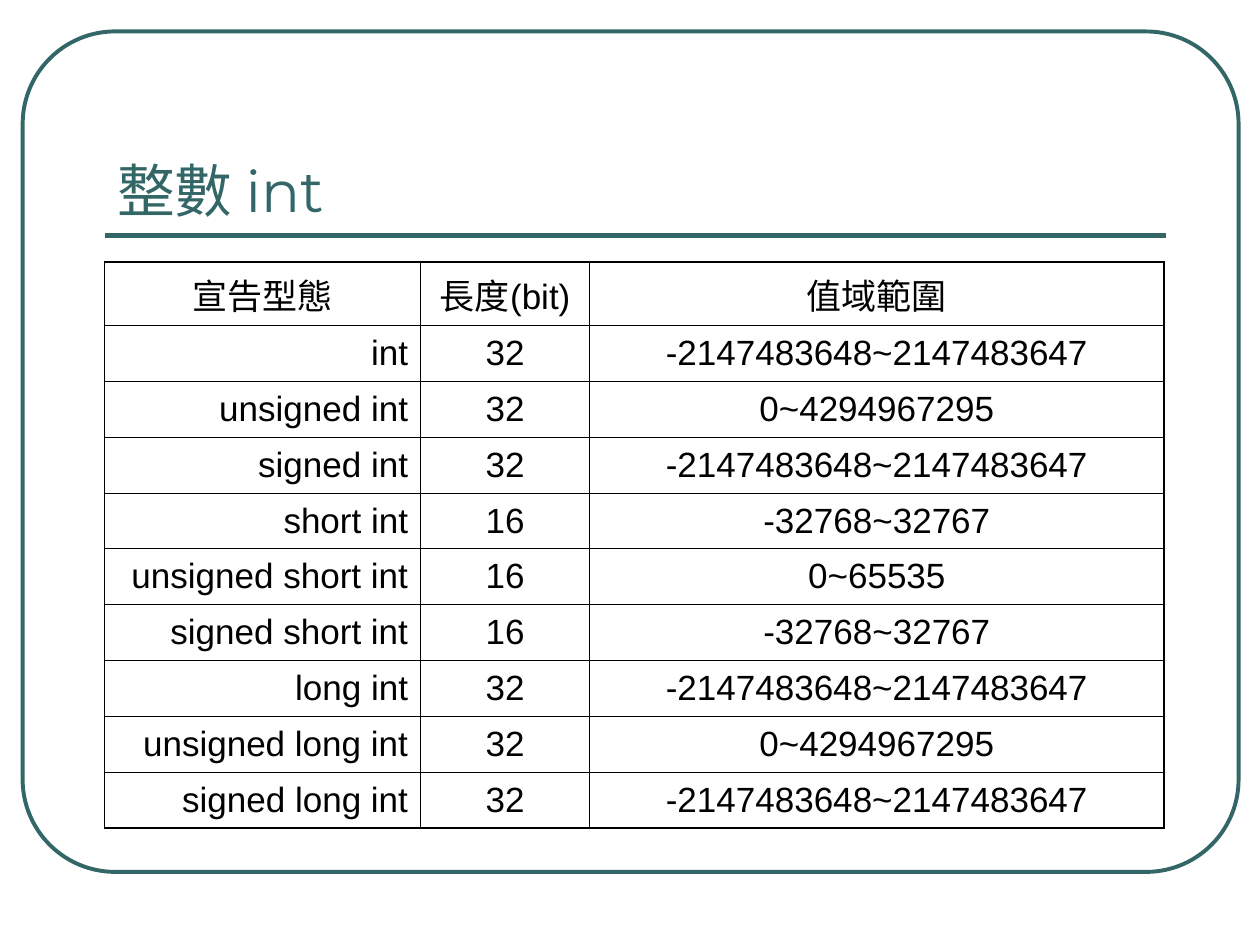
from lxml.etree import SubElement
from pptx import Presentation
from pptx.dml.color import RGBColor
from pptx.enum.shapes import MSO_CONNECTOR, MSO_SHAPE
from pptx.enum.text import MSO_ANCHOR, MSO_AUTO_SIZE, PP_ALIGN
from pptx.oxml.ns import qn
from pptx.util import Inches, Pt

COLORS = {"teal": "336666", "black": "000000"}
LEFT, WIDTH = 0.83, 8.42
TABLE_TOP, TABLE_HEIGHT = 2.08, 4.43
COLUMN_WIDTHS = (2.51, 1.34, 4.56)
OUTER_BORDER, INNER_BORDER = 1.08, 0.45

INT_RANGE = "-2147483648~2147483647"
UNSIGNED_RANGE = "0~4294967295"
SHORT_RANGE = "-32768~32767"
ROWS = (
    ("宣告型態", "長度(bit)", "值域範圍"),
    ("int", "32", INT_RANGE),
    ("unsigned int", "32", UNSIGNED_RANGE),
    ("signed int", "32", INT_RANGE),
    ("short int", "16", SHORT_RANGE),
    ("unsigned short int", "16", "0~65535"),
    ("signed short int", "16", SHORT_RANGE),
    ("long int", "32", INT_RANGE),
    ("unsigned long int", "32", UNSIGNED_RANGE),
    ("signed long int", "32", INT_RANGE),
)


def color(name):
    """Return the named colour of the palette."""
    return RGBColor.from_string(COLORS[name])


def write_text(paragraph, text, alignment, font_name, size, color_name):
    """Add one formatted run to an aligned paragraph."""
    paragraph.alignment = alignment
    run = paragraph.add_run()
    run.text = text
    run.font.name = font_name
    run.font.size = Pt(size)
    run.font.color.rgb = color(color_name)


def add_frame(slide):
    """Draw the rounded outline around the content."""
    frame = slide.shapes.add_shape(
        MSO_SHAPE.ROUNDED_RECTANGLE,
        Inches(0.18), Inches(0.25), Inches(9.65), Inches(6.67))
    frame.adjustments[0] = 0.11
    frame.shadow.inherit = False
    frame.fill.background()
    frame.line.color.rgb = color("teal")
    frame.line.width = Pt(2.25)


def add_title_rule(slide):
    """Draw the horizontal rule under the title."""
    y = Inches(1.87)
    rule = slide.shapes.add_connector(
        MSO_CONNECTOR.STRAIGHT, Inches(LEFT), y, Inches(LEFT + WIDTH), y)
    rule.line.color.rgb = color("teal")
    rule.line.width = Pt(3)
    SubElement(rule._element.spPr, qn("a:effectLst"))


def set_title(slide, text):
    """Place and format the title placeholder."""
    title = slide.shapes.title
    title.left, title.top = Inches(LEFT), Inches(0.58)
    title.width, title.height = Inches(WIDTH), Inches(1.25)
    frame = title.text_frame
    frame.auto_size = MSO_AUTO_SIZE.NONE
    frame.word_wrap = True
    frame.vertical_anchor = MSO_ANCHOR.BOTTOM
    write_text(frame.paragraphs[0], text, PP_ALIGN.LEFT, "Montserrat", 33, "teal")


def set_borders(cell, outer_sides):
    """Draw all four borders of a cell, heavier on the outer sides."""
    properties = cell._tc.get_or_add_tcPr()
    for index, side in enumerate(("lnL", "lnR", "lnT", "lnB")):
        width = OUTER_BORDER if side in outer_sides else INNER_BORDER
        line = properties.makeelement(qn(f"a:{side}"), {"w": str(Pt(width))})
        fill = SubElement(line, qn("a:solidFill"))
        SubElement(fill, qn("a:srgbClr"), val=COLORS["black"])
        properties.insert(index, line)


def add_type_table(slide):
    """Add the table of integer types, lengths and ranges."""
    last_row, last_column = len(ROWS) - 1, len(COLUMN_WIDTHS) - 1
    table = slide.shapes.add_table(
        len(ROWS), len(COLUMN_WIDTHS), Inches(LEFT), Inches(TABLE_TOP),
        Inches(WIDTH), Inches(TABLE_HEIGHT)).table
    table.first_row = table.horz_banding = False
    for column, width in zip(table.columns, COLUMN_WIDTHS):
        column.width = Inches(width)
    for row_index, values in enumerate(ROWS):
        for column_index, text in enumerate(values):
            cell = table.cell(row_index, column_index)
            cell.fill.background()
            cell.vertical_anchor = MSO_ANCHOR.MIDDLE
            is_type_name = row_index > 0 and column_index == 0
            alignment = PP_ALIGN.RIGHT if is_type_name else PP_ALIGN.CENTER
            write_text(cell.text_frame.paragraphs[0], text, alignment,
                       "Arial", 20, "black")
            edges = {"lnL": column_index == 0, "lnR": column_index == last_column,
                     "lnT": row_index == 0, "lnB": row_index == last_row}
            set_borders(cell, [side for side, outer in edges.items() if outer])


def main():
    """Build the slide and save it."""
    presentation = Presentation()
    presentation.slide_width, presentation.slide_height = Inches(10), Inches(7.5)
    slide = presentation.slides.add_slide(presentation.slide_layouts[5])
    add_frame(slide)
    add_title_rule(slide)
    set_title(slide, "整數 int")
    add_type_table(slide)
    presentation.save("out.pptx")


if __name__ == "__main__":
    main()
